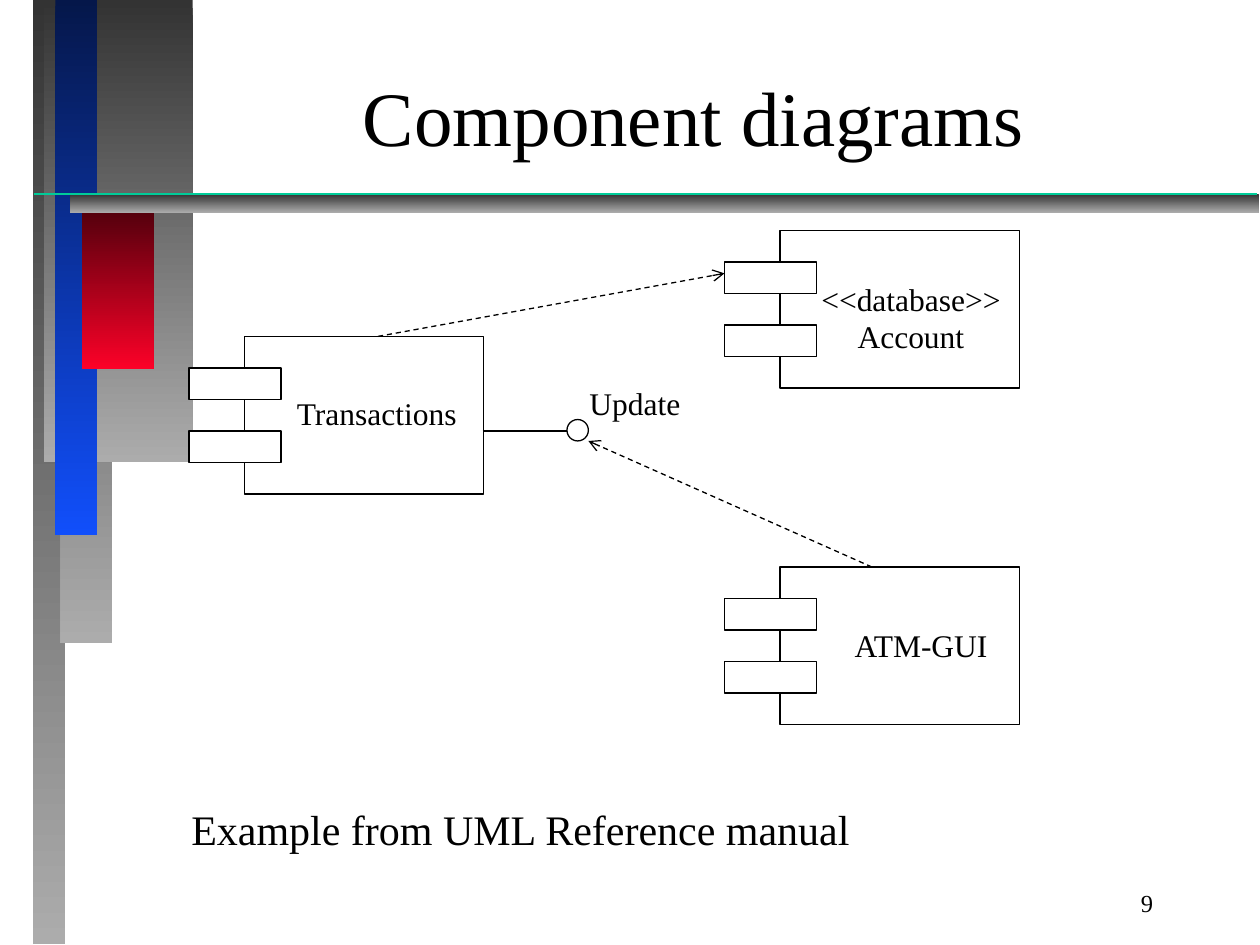
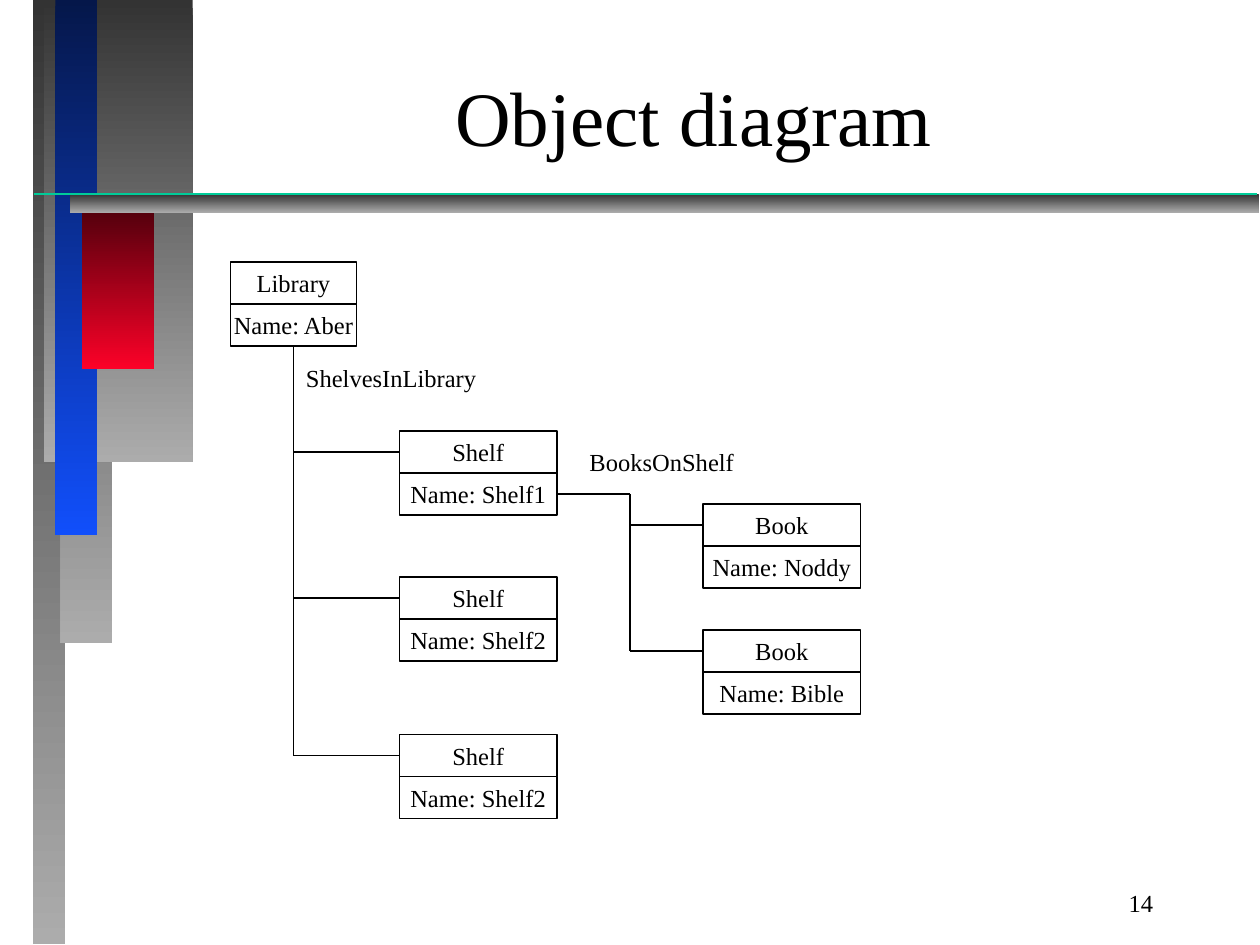
import dataclasses

import lxml.etree
import pptx
import pptx.dml.color
import pptx.enum.dml
import pptx.enum.shapes
import pptx.enum.text
import pptx.oxml.ns
import pptx.util

Inches = pptx.util.Inches
Pt = pptx.util.Pt
RGB = pptx.dml.color.RGBColor.from_string
qn = pptx.oxml.ns.qn
ALIGN = pptx.enum.text.PP_ALIGN
ANCHOR = pptx.enum.text.MSO_ANCHOR
SHAPE = pptx.enum.shapes.MSO_SHAPE


@dataclasses.dataclass(frozen=True)
class Theme:
    font: str = "Times New Roman"
    ink: str = "000000"
    paper: str = "FFFFFF"
    rule: str = "00CC99"
    grey: tuple = ("333333", "ACACAC")
    blue: tuple = ("05174A", "114FFB")
    red: tuple = ("4A000B", "FC0128")
    title_size: int = 44
    caption_size: int = 24
    label_size: int = 18
    small_size: int = 14
    outline: float = 0.75


theme = Theme()


def write(shape, text, size, align=ALIGN.LEFT, anchor=ANCHOR.TOP, wrap=False):
    """Put text in a shape, one paragraph a line."""
    frame = shape.text_frame
    frame.text = text
    frame.word_wrap = wrap
    frame.vertical_anchor = anchor
    for paragraph in frame.paragraphs:
        paragraph.alignment = align
        paragraph.font.name = theme.font
        paragraph.font.size = Pt(size)
        paragraph.font.color.rgb = RGB(theme.ink)


def draw_line(slide, start, end, colour=theme.ink, width=theme.outline, dependency=False):
    """Draw a straight line; a dependency is dashed with an open arrowhead."""
    line = slide.shapes.add_connector(
        pptx.enum.shapes.MSO_CONNECTOR.STRAIGHT, *map(Inches, start + end))
    line.line.color.rgb = RGB(colour)
    line.line.width = Pt(width)
    if dependency:
        line.line.dash_style = pptx.enum.dml.MSO_LINE.DASH
        outline = line.element.spPr.find(qn("a:ln"))
        lxml.etree.SubElement(outline, qn("a:tailEnd"), type="arrow")
    lxml.etree.SubElement(line.element.spPr, qn("a:effectLst"))
    return line


deck = pptx.Presentation()
deck.slide_width, deck.slide_height = Inches(10), Inches(7.5)

# Layout: keep only its title
layout = deck.slide_layouts.get_by_name("Title Only")
for placeholder in list(layout.placeholders):
    if placeholder.placeholder_format.idx != 0:
        layout.shapes.element.remove(placeholder.element)

# Titles and slide numbers
slides = []
for title, number in (("Component diagrams", "9"), ("Object diagram", "14")):
    slide = deck.slides.add_slide(layout)
    heading = slide.shapes.title
    heading.left, heading.top = Inches(1.42), Inches(0.25)
    heading.width, heading.height = Inches(8.17), Inches(1.33)
    write(heading, title, theme.title_size, ALIGN.CENTER, ANCHOR.MIDDLE, wrap=True)
    page = slide.shapes.add_textbox(Inches(8.67), Inches(7), Inches(0.58), Inches(0.33))
    write(page, number, theme.small_size, ALIGN.RIGHT, wrap=True)
    slides.append(slide)
component_slide, object_slide = slides

# Shared bands and rule, drawn once and moved to the layout
decoration = []
for left, top, width, height, colours in (
    (0.26, 0, 0.26, 7.49, theme.grey),
    (0.48, 0, 0.41, 5.1, theme.grey),
    (0.35, 0, 1.18, 3.67, theme.grey),
    (0.44, 0, 0.33, 4.25, theme.blue),
    (0.65, 1.6, 0.57, 1.33, theme.red),
    (0.56, 1.54, 9.43, 0.15, theme.grey),
):
    band = component_slide.shapes.add_shape(
        SHAPE.RECTANGLE, *map(Inches, (left, top, width, height)))
    band.shadow.inherit = False
    band.line.fill.background()
    band.fill.gradient()
    band.fill.gradient_angle = 270
    for stop, colour in zip(band.fill.gradient_stops, colours):
        stop.color.rgb = RGB(colour)
    decoration.append(band)
decoration.append(draw_line(component_slide, (0.27, 1.54), (9.98, 1.54), theme.rule, 1))
for part in decoration:
    layout.shapes.element.append(part.element)

# Components: a body with two lugs on its left edge
for left, top in ((5.75, 1.83), (5.75, 4.5), (1.5, 2.67)):
    for dx, dy, width, height, filled in (
        (0.44, 0, 1.9, 1.25, False),
        (0, 0.25, 0.73, 0.25, True),
        (0, 0.75, 0.73, 0.25, True),
    ):
        part = component_slide.shapes.add_shape(
            SHAPE.RECTANGLE, Inches(left + dx), Inches(top + dy), Inches(width), Inches(height))
        part.shadow.inherit = False
        part.line.color.rgb = RGB(theme.ink)
        part.line.width = Pt(theme.outline)
        if filled:
            part.fill.solid()
            part.fill.fore_color.rgb = RGB(theme.paper)
        else:
            part.fill.background()

# Update interface and dependencies
interface = component_slide.shapes.add_shape(
    SHAPE.OVAL, Inches(4.5), Inches(3.33), Inches(0.17), Inches(0.17))
interface.shadow.inherit = False
interface.fill.background()
interface.line.color.rgb = RGB(theme.ink)
interface.line.width = Pt(theme.outline)
draw_line(component_slide, (3.83, 3.42), (4.5, 3.42))
draw_line(component_slide, (6.92, 4.5), (4.67, 3.5), dependency=True)
draw_line(component_slide, (3, 2.67), (5.75, 2.17), dependency=True)

# Labels of both diagrams, each box growing to hold its text
for slide, text, left, top, width, height, size, align in (
    (component_slide, "<<database>>\nAccount", 6.37, 2.17, 1.72, 0.7, theme.label_size, ALIGN.CENTER),
    (component_slide, "ATM-GUI", 6.67, 4.92, 1.28, 0.4, theme.label_size, ALIGN.CENTER),
    (component_slide, "Transactions", 2.25, 3.08, 1.48, 0.4, theme.label_size, ALIGN.CENTER),
    (component_slide, "Update", 4.58, 3, 1.23, 0.4, theme.label_size, ALIGN.LEFT),
    (component_slide, "Example from UML Reference manual", 1.42, 6.33, 5.5, 0.5,
     theme.caption_size, ALIGN.LEFT),
    (object_slide, "ShelvesInLibrary", 2.33, 2.83, 1.65, 0.34, theme.small_size, ALIGN.LEFT),
    (object_slide, "BooksOnShelf", 4.58, 3.5, 1.4, 0.34, theme.small_size, ALIGN.LEFT),
):
    label = slide.shapes.add_textbox(*map(Inches, (left, top, width, height)))
    write(label, text, size, align, wrap=align == ALIGN.LEFT and slide is component_slide)
    label.text_frame.auto_size = pptx.enum.text.MSO_AUTO_SIZE.SHAPE_TO_FIT_TEXT

# Objects: a class row above a name row
row_height = 1 / 3
objects = []
for kind, name, left, top, width in (
    ("Library", "Aber", 1.83, 2.08, 1),
    ("Shelf", "Shelf1", 3.17, 3.42, 1.25),
    ("Shelf", "Shelf2", 3.17, 4.58, 1.25),
    ("Shelf", "Shelf2", 3.17, 5.83, 1.25),
    ("Book", "Noddy", 5.58, 4, 1.25),
    ("Book", "Bible", 5.58, 5, 1.25),
):
    rows = []
    for index, text in enumerate((kind, f"Name: {name}")):
        row = object_slide.shapes.add_shape(
            SHAPE.RECTANGLE, Inches(left), Inches(top + index * row_height),
            Inches(width), Inches(row_height))
        row.shadow.inherit = False
        row.fill.background()
        row.line.color.rgb = RGB(theme.ink)
        row.line.width = Pt(theme.outline)
        write(row, text, theme.small_size, ALIGN.CENTER, ANCHOR.MIDDLE)
        rows.append(row)
    objects.append(rows)
library, first_shelf = objects[:2]
shelves, books = objects[1:4], objects[4:]

# Links: a trunk from each owner, a branch to each member
shelf_trunk = draw_line(object_slide, (2.33, 2.75), (2.33, 6))
shelf_trunk.begin_connect(library[1], 2)
book_stem = draw_line(object_slide, (4.42, 3.92), (5, 3.92))
book_stem.begin_connect(first_shelf[1], 3)
draw_line(object_slide, (5, 3.92), (5, 5.17))
for trunk_x, members in ((2.33, shelves), (5, books)):
    for class_row, name_row in members:
        y = (class_row.top + class_row.height / 2) / Inches(1)
        branch = draw_line(object_slide, (trunk_x, y), (class_row.left / Inches(1), y))
        branch.end_connect(class_row, 1)

deck.save("out.pptx")
